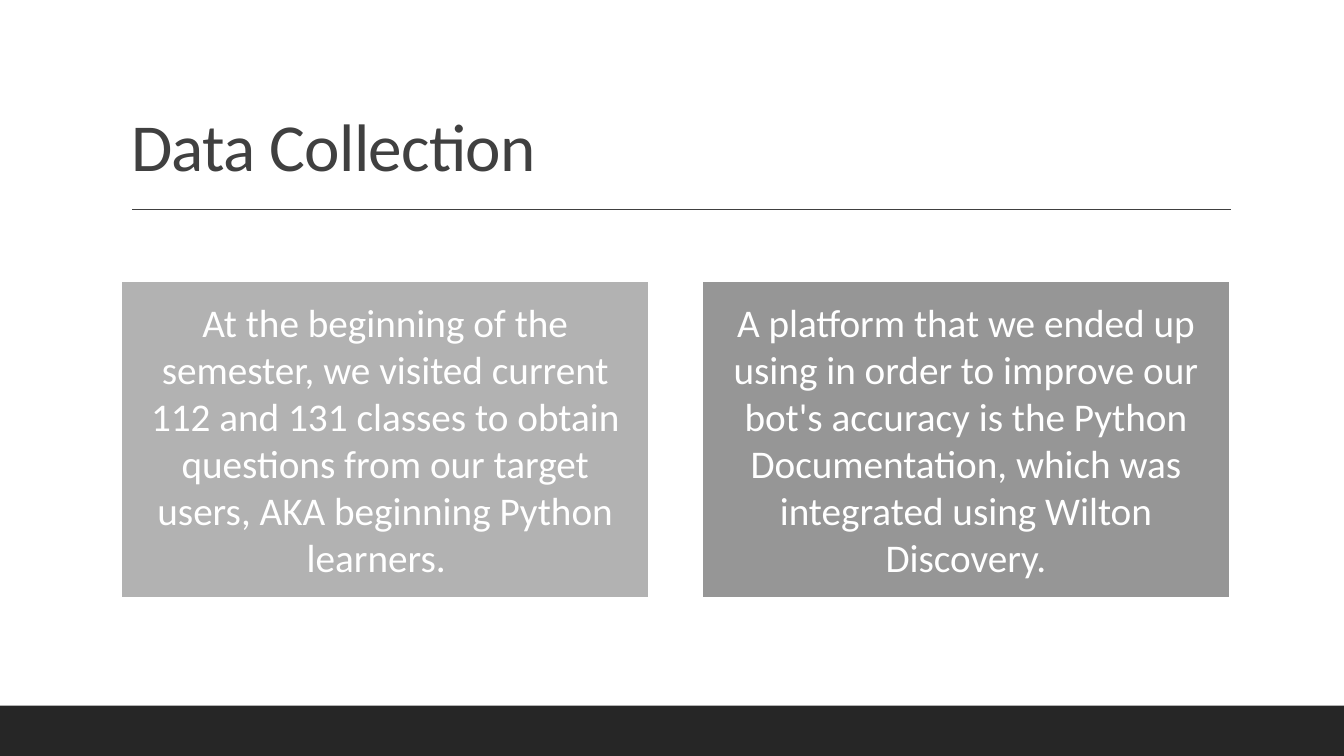
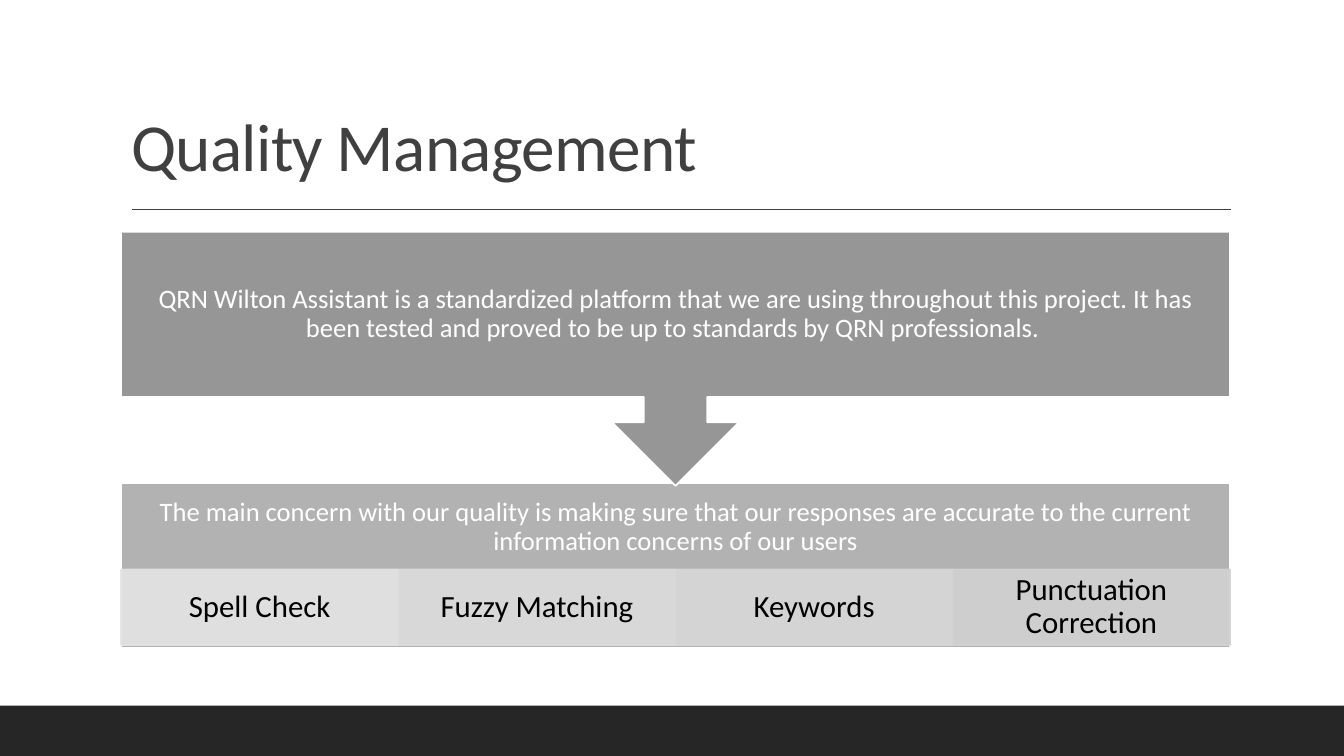
"""Build two slides on data collection and quality management."""
from dataclasses import dataclass

from lxml.etree import SubElement
from pptx import Presentation
from pptx.dml.color import RGBColor as RGB
from pptx.enum.shapes import MSO_CONNECTOR, MSO_SHAPE as SHAPE
from pptx.enum.text import MSO_ANCHOR as ANCHOR, MSO_AUTO_SIZE as AUTO, PP_ALIGN as ALIGN
from pptx.oxml.ns import qn
from pptx.util import Inches, Pt


@dataclass(frozen=True)
class Theme:
    """Hold the colours, type sizes and margins that the slides share."""
    font: str = "Calibri"
    white: str = "FFFFFF"
    black: str = "000000"
    band: str = "262626"
    ink: str = "404040"
    light: str = "B2B2B2"
    dark: str = "969696"
    tiles: tuple = ("E4E4E4", "DDDDDD", "D8D8D8", "D2D2D2")
    title: int = 48
    card: int = 28
    tile: int = 22
    note: int = 19
    left: float = 1.2
    width: float = 11


class Deck:
    """Draw styled elements on the current slide."""

    def __init__(self, theme):
        """Start an empty widescreen presentation."""
        self.theme = theme
        self.prs = Presentation()
        self.prs.slide_width, self.prs.slide_height = Inches(13.33), Inches(7.5)
        self.s = None

    def slide(self, title):
        """Add a slide with its title, rule and bottom band."""
        t = self.theme
        self.s = self.prs.slides.add_slide(self.prs.slide_layouts[5])
        self.box((0, 7, 13.33, 0.5), t.band, outline=None)
        self.rule(1.31, 12.21, 2.08)
        sp = self.s.shapes.title
        sp.left, sp.top, sp.width, sp.height = map(Inches, (t.left, 0.31, t.width, 1.59))
        r = self.text(sp, title, t.title, t.ink, ALIGN.LEFT, ANCHOR.BOTTOM)
        r.font._element.set("spc", "-50")

    def rule(self, x1, x2, y):
        """Draw a thin horizontal line."""
        line = self.s.shapes.add_connector(
            MSO_CONNECTOR.STRAIGHT, Inches(x1), Inches(y), Inches(x2), Inches(y))
        line.line.color.rgb = RGB.from_string(self.theme.ink)
        line.line.width = Pt(1)
        SubElement(line._element.spPr, qn("a:effectLst"))

    def box(self, at, fill, outline=Theme.white, kind=SHAPE.RECTANGLE, alpha=None):
        """Draw a filled shape with an optional outline and opacity in percent."""
        sp = self.s.shapes.add_shape(kind, *map(Inches, at))
        sp.shadow.inherit = False
        sp.fill.solid()
        sp.fill.fore_color.rgb = RGB.from_string(fill)
        if outline:
            sp.line.color.rgb = RGB.from_string(outline)
            sp.line.width = Pt(1.25)
        else:
            sp.line.fill.background()
        if alpha:
            for clr in sp._element.spPr.iter(qn("a:srgbClr")):
                SubElement(clr, qn("a:alpha"), val=str(alpha * 1000))
        return sp

    def text(self, sp, words, size, color, align=ALIGN.CENTER, anchor=ANCHOR.MIDDLE,
             insets=(0.1, 0.05, 0.1, 0.05), spacing=0.9):
        """Write one styled paragraph into a shape and return its run."""
        tf = sp.text_frame
        tf.word_wrap, tf.auto_size, tf.vertical_anchor = True, AUTO.NONE, anchor
        tf.margin_left, tf.margin_top, tf.margin_right, tf.margin_bottom = map(Inches, insets)
        p = tf.paragraphs[0]
        p.alignment, p.line_spacing = align, spacing
        r = p.add_run()
        r.text = words
        r.font.name, r.font.size = self.theme.font, Pt(size)
        r.font.color.rgb = RGB.from_string(color)
        return r


def data_collection(deck):
    """Build the slide with two text cards."""
    t = deck.theme
    deck.slide("Data Collection")
    cards = (
        (t.light, "At the beginning of the semester, we visited current 112 and 131 classes "
                  "to obtain questions from our target users, AKA beginning Python "
                  "learners.\u00a0\u00a0"),
        (t.dark, "A platform that we ended up using in order to improve our bot's accuracy is "
                 "the Python Documentation, which was integrated using Wilton Discovery."),
    )
    width, gap = 5.24, 0.52
    for i, (fill, words) in enumerate(cards):
        sp = deck.box((t.left + i * (width + gap), 2.79, width, 3.14), fill)
        deck.text(sp, words, t.card, t.white, insets=(0.12,) * 4, spacing=1.0)


def quality_management(deck):
    """Build the slide with a callout leading to four checks."""
    t = deck.theme
    deck.slide("Quality Management")
    concern = deck.box((t.left, 4.79, t.width, 1.64), t.light)
    deck.text(concern, "The main concern with our quality is making sure that our responses are "
              "accurate to the current information concerns of our users",
              t.note, t.white, insets=(0.15, 0.15, 0.15, 0.9))
    checks = ("Spell Check", "Fuzzy Matching", "Keywords", "Punctuation Correction")
    width = t.width / len(checks)
    for i, (words, fill) in enumerate(zip(checks, t.tiles)):
        tile = deck.box((t.left + i * width, 5.65, width, 0.75), fill, fill, alpha=90)
        deck.text(tile, words, t.tile, t.black, insets=(0.17, 0.03, 0.17, 0.03))
    platform = deck.box((t.left, 2.3, t.width, 2.52), t.dark, kind=SHAPE.DOWN_ARROW_CALLOUT)
    deck.text(platform, "QRN Wilton Assistant is a standardized platform that we are using "
              "throughout this project. It has been tested and proved to be up to standards "
              "by QRN professionals. ", t.note, t.white, insets=(0.15,) * 4)


deck = Deck(Theme())
data_collection(deck)
quality_management(deck)
deck.prs.save("out.pptx")
